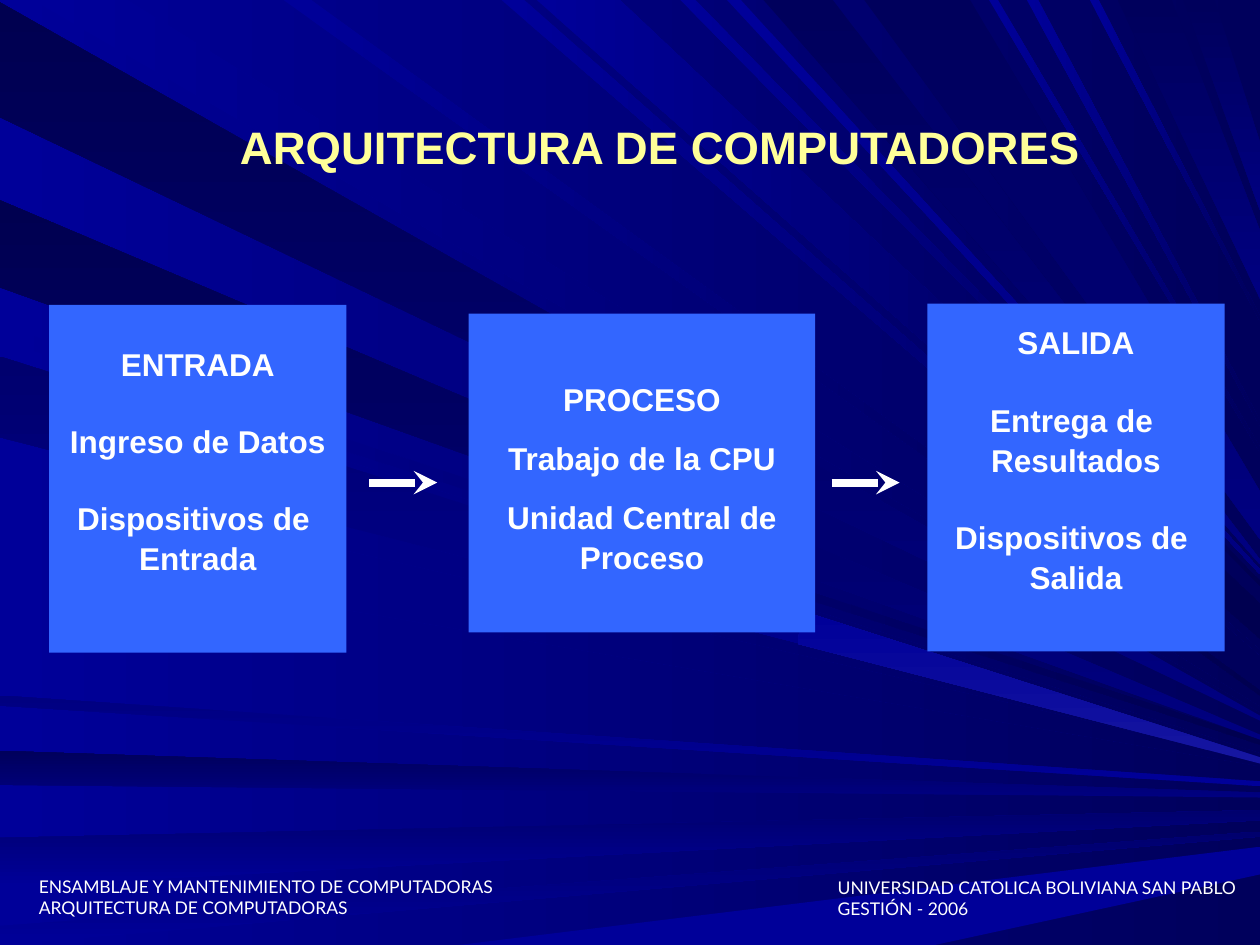
from lxml.etree import SubElement
from pptx import Presentation
from pptx.dml.color import RGBColor
from pptx.enum.shapes import MSO_CONNECTOR, MSO_SHAPE
from pptx.enum.text import MSO_ANCHOR, PP_ALIGN
from pptx.oxml.ns import qn
from pptx.util import Inches, Pt

WHITE = RGBColor.from_string("FFFFFF")
YELLOW = RGBColor.from_string("FFFF99")
BOX_BLUE = RGBColor.from_string("3366FF")
GLOW = RGBColor.from_string("1616A1")
BLUE = RGBColor.from_string("000099")
NAVY = RGBColor.from_string("000080")
DUSK = RGBColor.from_string("00006E")
DEEP = RGBColor.from_string("00005C")
MIDNIGHT = RGBColor.from_string("000050")

RIGHTWARD, UPWARD, DOWNWARD = 0, 90, 270
WIDTH, HEIGHT = 10, 7.5

FADE_RIGHT = (BLUE, MIDNIGHT, RIGHTWARD)
FADE_RIGHT_SOFT = (BLUE, DEEP, RIGHTWARD)
FADE_UP = (BLUE, DUSK, UPWARD)
DARK_UP = (NAVY, MIDNIGHT, UPWARD)
DARK_DOWN = (DEEP, NAVY, DOWNWARD)
PLAIN = (BLUE, BLUE, RIGHTWARD)

RAYS = [
    ("left", DARK_UP, 0.02, 0.93, 5.7),
    ("top", FADE_RIGHT_SOFT, 0.26, 1.01, 5.63),
    ("left", (NAVY, DEEP, UPWARD), 5.96, 6.23, 6.31),
    ("left", FADE_UP, 6.65, 7.04, 6.47, 0.08),
    ("left", FADE_UP, 7.35, 7.5, 6.62),
    ("bottom", PLAIN, 3.64, 7.42, 6.83, 0.22),
    ("left", FADE_RIGHT, 2.58, 2.7, 5.89),
    ("left", DARK_UP, 1.59, 2.28, 5.85),
    ("top", FADE_RIGHT_SOFT, 3.98, 4.16, 5.18),
    ("top", FADE_RIGHT, 4.26, 4.92, 4.93, 0.28),
    ("top", FADE_RIGHT, 5.4, 5.52, 4.63),
    ("top", DARK_DOWN, 6.06, 6.61, 4.46),
    ("top", DARK_DOWN, 8.87, 9.3, 2.1, 0.54),
    ("top", DARK_DOWN, 9.39, 9.64, 1.4, 0.54),
    ("left", FADE_RIGHT_SOFT, 2.78, 3.42, 6),
    ("left", FADE_RIGHT_SOFT, 3.74, 4.37, 6.06),
    ("left", (BLUE, NAVY, UPWARD), 5.52, 5.6, 6.22),
    ("top", FADE_RIGHT, 2.25, 2.47, 5.5),
    ("top", (BLUE, NAVY, RIGHTWARD), 5.77, 5.88, 4.54),
    ("top", DARK_DOWN, 6.86, 7.7, 4.09, 0.38),
    ("top", FADE_RIGHT_SOFT, 7.85, 7.92, 3.57),
    ("top", FADE_RIGHT_SOFT, 8.15, 8.24, 3.36),
    ("top", FADE_RIGHT_SOFT, 8.65, 8.72, 2.53),
    ("left", FADE_UP, 2.83, 3.47, 6.03),
]
BRIGHT_TIP = [(6.37, 4.85), (6.33, 5.11), (WIDTH, 6.06), (WIDTH, 6.01)]

LINE_GAP = 21.6
STAGES = [
    ((0.39, 2.42, 2.36, 2.76), MSO_ANCHOR.MIDDLE, False, (0.05, 0.35),
     [("ENTRADA", 0), ("Ingreso de Datos", LINE_GAP), ("Dispositivos de ", LINE_GAP), ("Entrada", 0)]),
    ((3.72, 2.49, 2.75, 2.53), MSO_ANCHOR.TOP, True, (0.51, 0.05),
     [("PROCESO", 0), ("Trabajo de la CPU", 11.2), ("Unidad Central de Proceso", 11.2)]),
    ((7.36, 2.41, 2.36, 2.76), MSO_ANCHOR.MIDDLE, False, (0.05, 0.35),
     [("SALIDA", 0), ("Entrega de ", LINE_GAP), ("Resultados", 0),
      ("Dispositivos de ", LINE_GAP), ("Salida", 0)]),
]
FOOTERS = [
    ((0.21, 6.9, 4.39, 0.5),
     ["ENSAMBLAJE Y MANTENIMIENTO DE COMPUTADORAS", "ARQUITECTURA DE COMPUTADORAS"]),
    ((6.55, 6.91, 3.39, 0.39),
     ["UNIVERSIDAD CATOLICA BOLIVIANA SAN PABLO", "GESTIÓN - 2006"]),
]


def apply_gradient(fill, start, end, angle):
    fill.gradient()
    fill.gradient_angle = angle
    for stop, color in zip(fill.gradient_stops, (start, end)):
        stop.color.rgb = color


def style_font(font, name, size, color, bold=False):
    font.name = name
    font.size = Pt(size)
    font.color.rgb = color
    font.bold = bold


def ray_corners(edge, near, far, tip, spread=0.04):
    upper, lower = (WIDTH, tip - spread / 2), (WIDTH, tip + spread / 2)
    if edge == "top":
        return [(near, 0), (far, 0), upper, lower]
    if edge == "left":
        return [(0, near), (0, far), lower, upper]
    return [(near, HEIGHT), (far, HEIGHT), lower, upper]


def add_ray(slide, shading, points):
    corners = [(Inches(x), Inches(y)) for x, y in points]
    outline = slide.shapes.build_freeform(*corners[0])
    outline.add_line_segments(corners[1:], close=True)
    ray = outline.convert_to_shape()
    ray.shadow.inherit = False
    ray.line.fill.background()
    apply_gradient(ray.fill, *shading)


def add_footer(slide, bounds, lines):
    frame = slide.shapes.add_textbox(*map(Inches, bounds)).text_frame
    frame.word_wrap = True
    frame.text = "\n".join(lines)
    for paragraph in frame.paragraphs:
        style_font(paragraph.font, "Lato", 10, WHITE)


def add_stage(slide, bounds, anchor, wrap, margins, lines):
    box = slide.shapes.add_shape(MSO_SHAPE.RECTANGLE, *map(Inches, bounds))
    box.shadow.inherit = False
    box.fill.solid()
    box.fill.fore_color.rgb = BOX_BLUE
    box.line.fill.background()
    frame = box.text_frame
    frame.word_wrap = wrap
    frame.vertical_anchor = anchor
    frame.margin_top, frame.margin_bottom = map(Inches, margins)
    frame.text = "\n".join(text for text, gap in lines)
    for paragraph, (text, gap) in zip(frame.paragraphs, lines):
        paragraph.alignment = PP_ALIGN.CENTER
        paragraph.line_spacing = 1.05
        if gap:
            paragraph.space_before = Pt(gap)
        style_font(paragraph.font, "Arial", 18, WHITE, bold=True)


def add_arrow(slide, left, y, length):
    arrow = slide.shapes.add_connector(
        MSO_CONNECTOR.STRAIGHT, Inches(left), Inches(y), Inches(left + length), Inches(y))
    arrow.line.color.rgb = WHITE
    arrow.line.width = Pt(4.5)
    outline = arrow.element.spPr.find(qn("a:ln"))
    SubElement(outline, qn("a:tailEnd"), type="stealth")
    SubElement(arrow.element.spPr, qn("a:effectLst"))


def place_title(slide, text):
    title = slide.shapes.title
    slide.shapes.element.append(title.element)
    title.left, title.top, title.width, title.height = map(Inches, (0.74, 0.54, 9, 1.25))
    title.text_frame.text = text
    title.text_frame.vertical_anchor = MSO_ANCHOR.MIDDLE
    heading = title.text_frame.paragraphs[0]
    heading.alignment = PP_ALIGN.CENTER
    style_font(heading.font, "Arial", 26, YELLOW, bold=True)


def main():
    deck = Presentation()
    deck.slide_width, deck.slide_height = Inches(WIDTH), Inches(HEIGHT)
    slide = deck.slides.add_slide(deck.slide_layouts[5])
    apply_gradient(slide.background.fill, *FADE_RIGHT_SOFT)
    for edge, shading, *reach in RAYS:
        add_ray(slide, shading, ray_corners(edge, *reach))
    add_ray(slide, (GLOW, BLUE, UPWARD), BRIGHT_TIP)
    for footer in FOOTERS:
        add_footer(slide, *footer)
    for stage in STAGES:
        add_stage(slide, *stage)
    for left in (2.93, 6.6):
        add_arrow(slide, left, 3.83, 0.54)
    place_title(slide, "ARQUITECTURA DE COMPUTADORES")
    deck.save("out.pptx")


if __name__ == "__main__":
    main()
